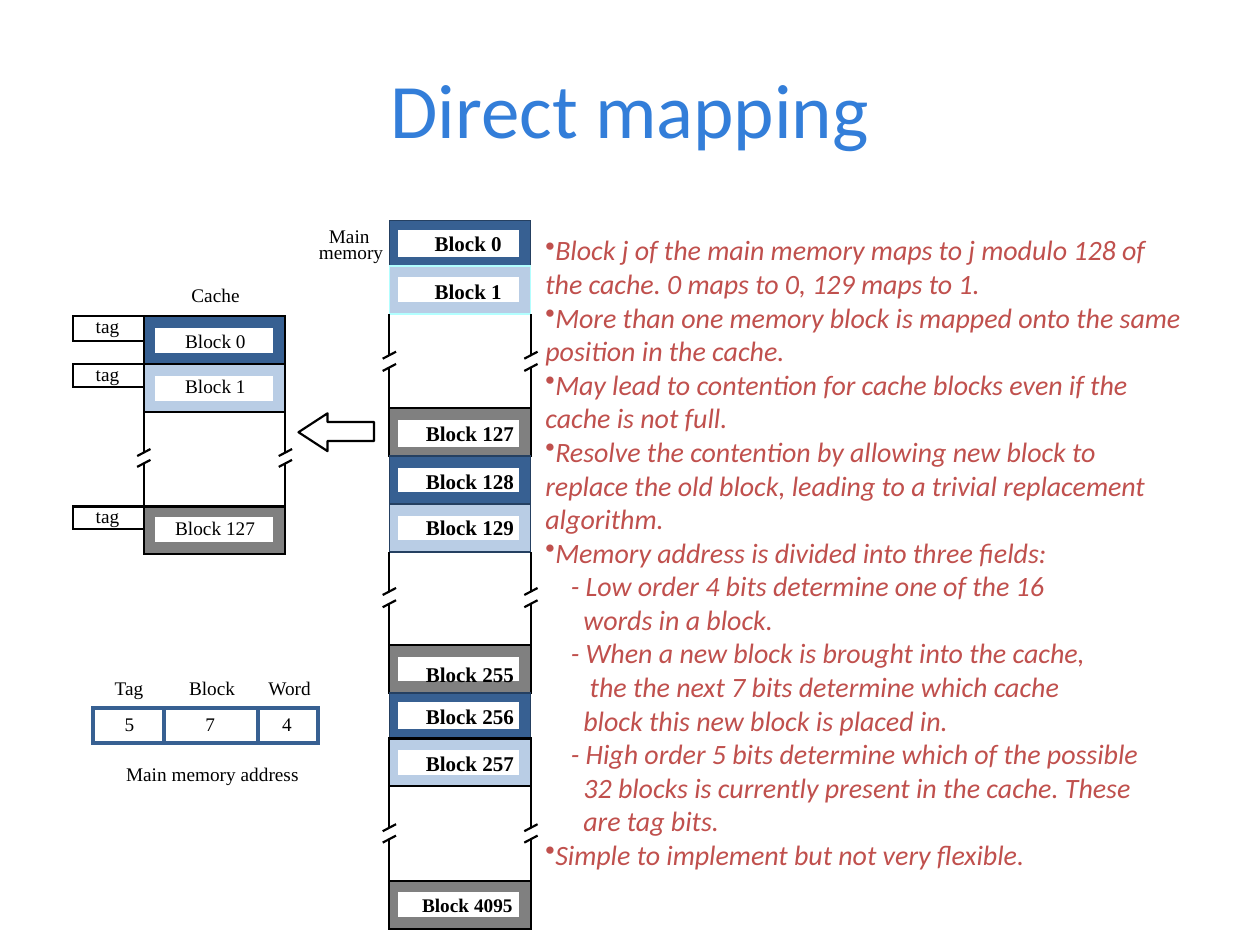
from lxml import etree
from pptx import Presentation
from pptx.dml.color import RGBColor
from pptx.enum import shapes, text
from pptx.oxml import ns
from pptx.util import Pt

BLACK = RGBColor(0x00, 0x00, 0x00)
WHITE = RGBColor(0xFF, 0xFF, 0xFF)
TITLE_BLUE = RGBColor(0x33, 0x7E, 0xD9)
DARK_BLUE = RGBColor(0x37, 0x60, 0x92)
NAVY = RGBColor(0x25, 0x40, 0x61)
LIGHT_BLUE = RGBColor(0xB9, 0xCD, 0xE5)
CYAN = RGBColor(0xB2, 0xFF, 0xFF)
GRAY = RGBColor(0x80, 0x80, 0x80)
RED = RGBColor(0xC0, 0x50, 0x4D)

presentation = Presentation()
presentation.slide_width, presentation.slide_height = Pt(720), Pt(540)
slide = presentation.slides.add_slide(presentation.slide_layouts[6])


def add_box(left, top, width, height, fill, line, weight):
    shape = slide.shapes.add_shape(
        shapes.MSO_SHAPE.RECTANGLE, Pt(left), Pt(top), Pt(width), Pt(height))
    shape.shadow.inherit = False
    if fill is None:
        shape.fill.background()
    else:
        shape.fill.solid()
        shape.fill.fore_color.rgb = fill
    shape.line.color.rgb = line
    shape.line.width = Pt(weight)
    etree.SubElement(shape.line._get_or_add_ln(), ns.qn("a:miter"), lim="800000")


def add_line(start_x, start_y, end_x, end_y, color=BLACK, weight=1.25):
    connector = slide.shapes.add_connector(
        shapes.MSO_CONNECTOR.STRAIGHT, Pt(start_x), Pt(start_y), Pt(end_x), Pt(end_y))
    connector.line.color.rgb = color
    connector.line.width = Pt(weight)
    etree.SubElement(connector._element.spPr, ns.qn("a:effectLst"))


# Title
title = slide.shapes.add_textbox(Pt(36), Pt(12.2), Pt(648), Pt(98.6))
title.text_frame.word_wrap = True
title.text_frame.vertical_anchor = text.MSO_ANCHOR.MIDDLE
paragraph = title.text_frame.paragraphs[0]
paragraph.alignment = text.PP_ALIGN.CENTER
run = paragraph.add_run()
run.text = "Direct mapping"
for name, value in {"name": "Calibri", "size": Pt(44)}.items():
    setattr(run.font, name, value)
run.font.color.rgb = TITLE_BLUE

# Labels collect here: wording, left, top, width, size, bold
labels = [
    ("Main", 187.9, 128.2, 28, 11, False),
    ("memory", 182.2, 137.5, 40, 11, False),
    ("Cache", 109.4, 162, 32, 11, False),
    ("Tag", 65.5, 386.6, 22, 11, False),
    ("Block", 108, 386.6, 32, 11, False),
    ("Word", 153.4, 386.6, 30, 11, False),
    ("5", 71.3, 406.8, 9, 11, False),
    ("7", 117.4, 406.8, 9, 11, False),
    ("4", 161.3, 406.8, 9, 11, False),
    ("Main memory address", 72, 435.6, 106, 11, False),
]

# Main memory: number, top, height, fill, outline, weight, plate top,
# plate height, label top
MEMORY_LEFT, CACHE_LEFT, BLOCK_WIDTH = 222.5, 82.2, 80.9
memory_blocks = [
    (0, 126, 26, DARK_BLUE, NAVY, 0.75, 131.8, 14.4, 131.8),
    (1, 152, 27.4, LIGHT_BLUE, CYAN, 0.75, 159.1, 13, 159.1),
    (127, 233.3, 27.4, GRAY, BLACK, 1.25, 240.5, 14.4, 240.5),
    (128, 260.6, 27.4, DARK_BLUE, NAVY, 0.75, 267.8, 13, 267.8),
    (129, 288, 27.4, LIGHT_BLUE, NAVY, 0.75, 295.2, 13, 293.8),
    (255, 368.6, 27.4, GRAY, BLACK, 1.25, 375.8, 13, 378),
    (256, 396, 26, DARK_BLUE, NAVY, 0.75, 401.8, 14.4, 401.8),
    (257, 422, 27.4, LIGHT_BLUE, BLACK, 1.25, 429.1, 13, 429.1),
    (4095, 503.3, 27.4, GRAY, BLACK, 1.25, 510.5, 13, 510.5),
]
for (number, top, height, fill, outline, weight,
     plate_top, plate_height, label_top) in memory_blocks:
    add_box(MEMORY_LEFT, top, BLOCK_WIDTH, height, fill, outline, weight)
    add_box(228.2, plate_top, 67.7, plate_height, WHITE, WHITE, 1.25)
    left, width, size = {1: (248.4, 46, 12), 3: (243.4, 58, 12),
                         4: (241.2, 60, 11)}[len(str(number))]
    labels.append((f"Block {number}", left, label_top, width, size, True))

# Cache: number, top, fill, tag height, plate top, label left, label top
cache_blocks = [
    (0, 180.7, DARK_BLUE, 14.4, 187.9, 105.8, 187.9),
    (1, 208.1, LIGHT_BLUE, 13, 215.3, 105.8, 213.8),
    (127, 289.4, GRAY, 13, 295.9, 100.1, 295.2),
]
for number, top, fill, tag_height, plate_top, left, label_top in cache_blocks:
    add_box(CACHE_LEFT, top, BLOCK_WIDTH, 27.4, fill, BLACK, 1.25)
    add_box(41.8, top, 40.4, tag_height, None, BLACK, 1.25)
    add_box(89.3, plate_top, 66.2, 13, WHITE, WHITE, 1.25)
    labels.append(("tag", 54.7, top - 1.2, 18, 11, False))
    labels.append((f"Block {number}", left, label_top, 54, 11, False))

# Broken side edges: column left, gap top, break top, break bottom, gap bottom
gaps = [
    (MEMORY_LEFT, 179.4, 203, 210, 233.3),
    (MEMORY_LEFT, 315.4, 338, 345, 368.6),
    (MEMORY_LEFT, 449.4, 473, 479.5, 503.3),
    (CACHE_LEFT, 235.5, 258.6, 264.8, 289.4),
]
for left, gap_top, break_top, break_bottom, gap_bottom in gaps:
    for edge in (left, left + BLOCK_WIDTH):
        add_line(edge, break_top, edge, gap_top)
        add_line(edge, gap_bottom, edge, break_bottom)
        for middle in (break_top, break_bottom):
            add_line(edge + 3.8, middle - 2, edge - 3.8, middle + 2)

# Arrow from main memory to cache
arrow_points = [(187.2, 257.8), (187.2, 252), (213.8, 252), (213.8, 241.2),
                (187.2, 241.2), (187.2, 236.2), (170.6, 247)]
builder = slide.shapes.build_freeform(Pt(187.2), Pt(257.8))
builder.add_line_segments([(Pt(x), Pt(y)) for x, y in arrow_points[1:]], close=True)
arrow = builder.convert_to_shape()
arrow.shadow.inherit = False
arrow.fill.background()
arrow.line.color.rgb = BLACK
arrow.line.width = Pt(1.25)

# Address fields
add_box(53.3, 404.6, 128.2, 20.2, None, DARK_BLUE, 2.25)
for divider in (93.6, 147.6):
    add_line(divider, 424.8, divider, 404.6, DARK_BLUE, 2.25)

for wording, left, top, width, size, bold in labels:
    label = slide.shapes.add_textbox(Pt(left), Pt(top), Pt(width), Pt(size * 1.2))
    frame = label.text_frame
    for side in ("left", "top", "right", "bottom"):
        setattr(frame, f"margin_{side}", 0)
    frame.word_wrap = True
    run = frame.paragraphs[0].add_run()
    run.text = wording
    for name, value in {"name": "Times New Roman", "size": Pt(size), "bold": bold}.items():
        setattr(run.font, name, value)
    run.font.color.rgb = BLACK

# Explanation: left indent (None marks a bulleted line) and wording
DASH, HANG = 14.5, 21.7
explanation = [
    (None, "Block j of the main memory maps to j modulo 128 of"),
    (0, "the cache. 0 maps to 0, 129 maps to 1."),
    (None, "More than one memory block is mapped onto the same"),
    (0, "position in the cache."),
    (None, "May lead to contention for cache blocks even if the"),
    (0, "cache is not full."),
    (None, "Resolve the contention by allowing new block to"),
    (0, "replace the old block, leading to a trivial replacement"),
    (0, "algorithm."),
    (None, "Memory address is divided into three fields:"),
    (DASH, "- Low order 4 bits determine one of the 16"),
    (HANG, "words in a block."),
    (DASH, "- When a new block is brought into the cache,"),
    (25.3, "the the next 7 bits determine which cache"),
    (HANG, "block this new block is placed in."),
    (DASH, "- High order 5 bits determine which of the possible"),
    (HANG, "32 blocks is currently present in the cache. These"),
    (HANG, "are tag bits."),
    (None, "Simple to implement but not very flexible."),
]
body = slide.shapes.add_textbox(Pt(304.6), Pt(129.6), Pt(415.4), Pt(371.5))
frame = body.text_frame
frame.word_wrap = True
for index, (indent, wording) in enumerate(explanation):
    paragraph = frame.add_paragraph() if index else frame.paragraphs[0]
    properties = paragraph._p.get_or_add_pPr()
    properties.set("marL", str(Pt(indent or 0)))
    properties.set("indent", str(Pt(-17.28) if indent is None else 0))
    if indent is None:
        bullet_color = etree.SubElement(properties, ns.qn("a:buClr"))
        etree.SubElement(bullet_color, ns.qn("a:srgbClr"), val=str(RED))
        etree.SubElement(properties, ns.qn("a:buChar"), char="•")
    run = paragraph.add_run()
    run.text = wording
    for name, value in {"name": "Calibri", "size": Pt(16), "italic": True}.items():
        setattr(run.font, name, value)
    run.font.color.rgb = RED

presentation.save("out.pptx")
